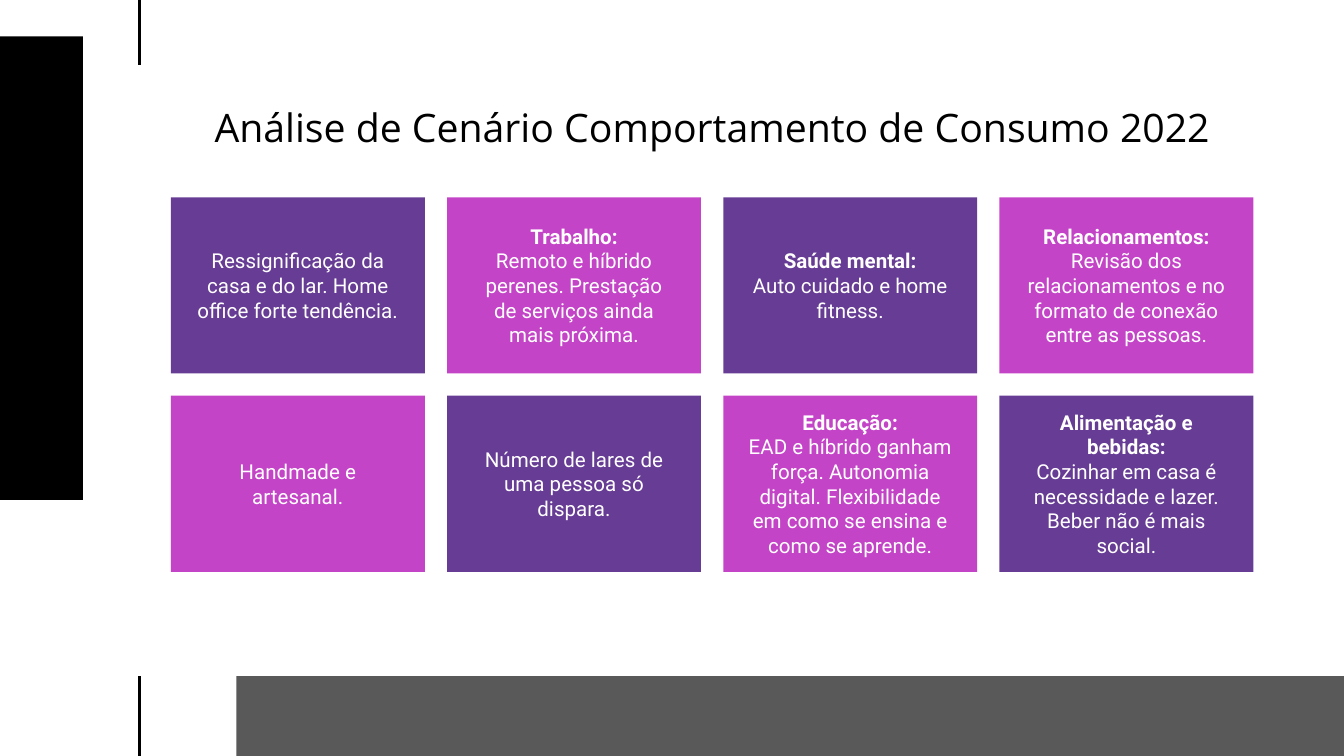
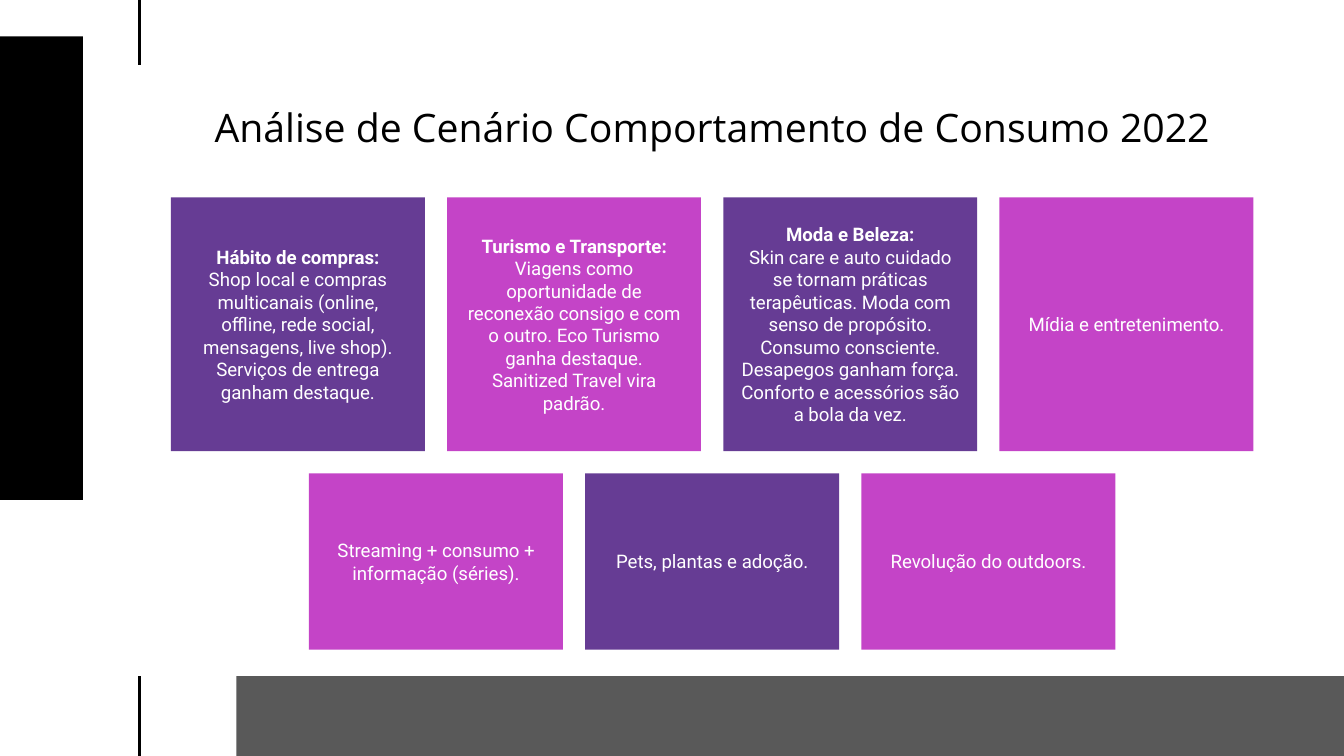
import pptx
import pptx.dml.color
import pptx.enum.shapes
import pptx.enum.text
import pptx.oxml
import pptx.util

Cm = pptx.util.Cm
Pt = pptx.util.Pt

COLORS = {
    "purple": "663C94",
    "pink": "C444C7",
    "black": "000000",
    "gray": "595959",
    "white": "FFFFFF",
}

# Measures in centimetres
SLIDE_W, SLIDE_H = 25.4, 14.29
GRID_LEFT, GRID_TOP = 3.23, 3.73
CARD_W, CARD_H, TALL_CARD_H = 4.8, 3.33, 4.8
COLUMN_STEP = 5.22
ROW_GAP = 0.42
COLUMNS = 4
RULE_X = 2.64
BAND_TOP = 12.78
CARD_INSET = 0.48

TITLE = "Análise de Cenário Comportamento de Consumo 2022"

# Each card: (heading, text) or (heading, text, side inset)
SCENARIO_ROWS = [
    [
        ("", "Ressignificação da casa e do lar. Home office forte tendência."),
        ("Trabalho:", "Remoto e híbrido perenes. Prestação de serviços ainda mais próxima."),
        ("Saúde mental:", "Auto cuidado e home fitness."),
        ("Relacionamentos:",
         "Revisão dos relacionamentos e no formato de conexão entre as pessoas."),
    ],
    [
        ("", "Handmade e artesanal."),
        ("", "Número de lares de uma pessoa só dispara."),
        ("Educação:", "EAD e híbrido ganham força. Autonomia digital. "
                      "Flexibilidade em como se ensina e como se aprende."),
        ("Alimentação e bebidas:",
         "Cozinhar em casa é necessidade e lazer. Beber não é mais social."),
    ],
]
HABIT_ROWS = [
    [
        ("Hábito de compras:",
         "Shop local e compras multicanais (online, offline, rede social, mensagens, "
         "live shop). Serviços de entrega ganham destaque."),
        ("Turismo e Transporte:",
         "Viagens como oportunidade de reconexão consigo e com o outro. "
         "Eco Turismo ganha destaque. Sanitized Travel vira padrão.", 0.36),
        ("Moda e Beleza:",
         "Skin care e auto cuidado se tornam práticas terapêuticas. "
         "Moda com senso de propósito. Consumo consciente. Desapegos ganham força. "
         "Conforto e acessórios são a bola da vez.", 0.3),
        ("", "Mídia e entretenimento."),
    ],
    [
        ("", "Streaming + consumo + informação (séries)."),
        ("", "Pets, plantas e adoção."),
        ("", "Revolução do outdoors."),
    ],
]


def rgb(color):
    return pptx.dml.color.RGBColor.from_string(COLORS[color])


def write(paragraph, text, *, size, font="Roboto", color="white", bold=False, spacing=None):
    paragraph.text = text
    paragraph.alignment = pptx.enum.text.PP_ALIGN.CENTER
    paragraph.line_spacing = spacing
    paragraph.font.name = font
    paragraph.font.size = Pt(size)
    paragraph.font.bold = bold
    paragraph.font.color.rgb = rgb(color)


def set_frame(frame, side, vertical):
    frame.word_wrap = True
    frame.auto_size = pptx.enum.text.MSO_AUTO_SIZE.NONE
    frame.vertical_anchor = pptx.enum.text.MSO_ANCHOR.MIDDLE
    frame.margin_left = frame.margin_right = Cm(side)
    frame.margin_top = frame.margin_bottom = Cm(vertical)


def add_block(slide, left, top, width, height, color):
    block = slide.shapes.add_shape(
        pptx.enum.shapes.MSO_SHAPE.RECTANGLE, Cm(left), Cm(top), Cm(width), Cm(height))
    block.shadow.inherit = False
    block.fill.solid()
    block.fill.fore_color.rgb = rgb(color)
    block.line.fill.background()
    return block


def add_rule(slide, top, bottom):
    rule = slide.shapes.add_connector(
        pptx.enum.shapes.MSO_CONNECTOR.STRAIGHT,
        Cm(RULE_X), Cm(top), Cm(RULE_X), Cm(bottom))
    rule.line.color.rgb = rgb("black")
    rule.line.width = Pt(1.5)
    rule._element.spPr.append(pptx.oxml.parse_xml(
        '<a:effectLst xmlns:a="http://schemas.openxmlformats.org/drawingml/2006/main"/>'))


def add_title(slide):
    title = slide.shapes.title
    title.left, title.top = Cm(GRID_LEFT), Cm(0)
    title.width, title.height = Cm(20.47), Cm(4.95)
    set_frame(title.text_frame, 0.25, 0.25)
    write(title.text_frame.paragraphs[0], TITLE,
          size=21, font="Open Sans", color="black", spacing=0.85)


def add_card(slide, left, top, height, color, size, heading, text, inset=CARD_INSET):
    frame = add_block(slide, left, top, CARD_W, height, color).text_frame
    set_frame(frame, inset, 0)
    paragraph = frame.paragraphs[0]
    if heading:
        write(paragraph, heading, size=size, bold=True)
        paragraph = frame.add_paragraph()
    write(paragraph, text, size=size)


def add_cards(slide, rows, heights, size):
    """Rows are centred on the grid; colours alternate like a checkerboard."""
    top = GRID_TOP
    for row_index, (row, height) in enumerate(zip(rows, heights)):
        row_left = GRID_LEFT + (COLUMNS - len(row)) * COLUMN_STEP / 2
        for column, card in enumerate(row):
            color = ("purple", "pink")[(row_index + column) % 2]
            add_card(slide, row_left + column * COLUMN_STEP, top, height, color, size, *card)
        top += height + ROW_GAP


def add_slide(deck):
    slide = deck.slides.add_slide(deck.slide_layouts[5])
    # Side bar, rules and bottom band
    add_rule(slide, 0, 1.23)
    add_rule(slide, BAND_TOP, SLIDE_H)
    add_block(slide, 4.47, BAND_TOP, SLIDE_W - 4.47, SLIDE_H - BAND_TOP, "gray")
    add_block(slide, 0, 0.69, 1.57, 8.76, "black")
    add_title(slide)
    return slide


def main():
    deck = pptx.Presentation()
    deck.slide_width, deck.slide_height = Cm(SLIDE_W), Cm(SLIDE_H)

    # Work, health and home
    add_cards(add_slide(deck), SCENARIO_ROWS, (CARD_H, CARD_H), size=11)

    # Shopping, travel and leisure
    add_cards(add_slide(deck), HABIT_ROWS, (TALL_CARD_H, CARD_H), size=10)

    deck.save("out.pptx")


if __name__ == "__main__":
    main()
